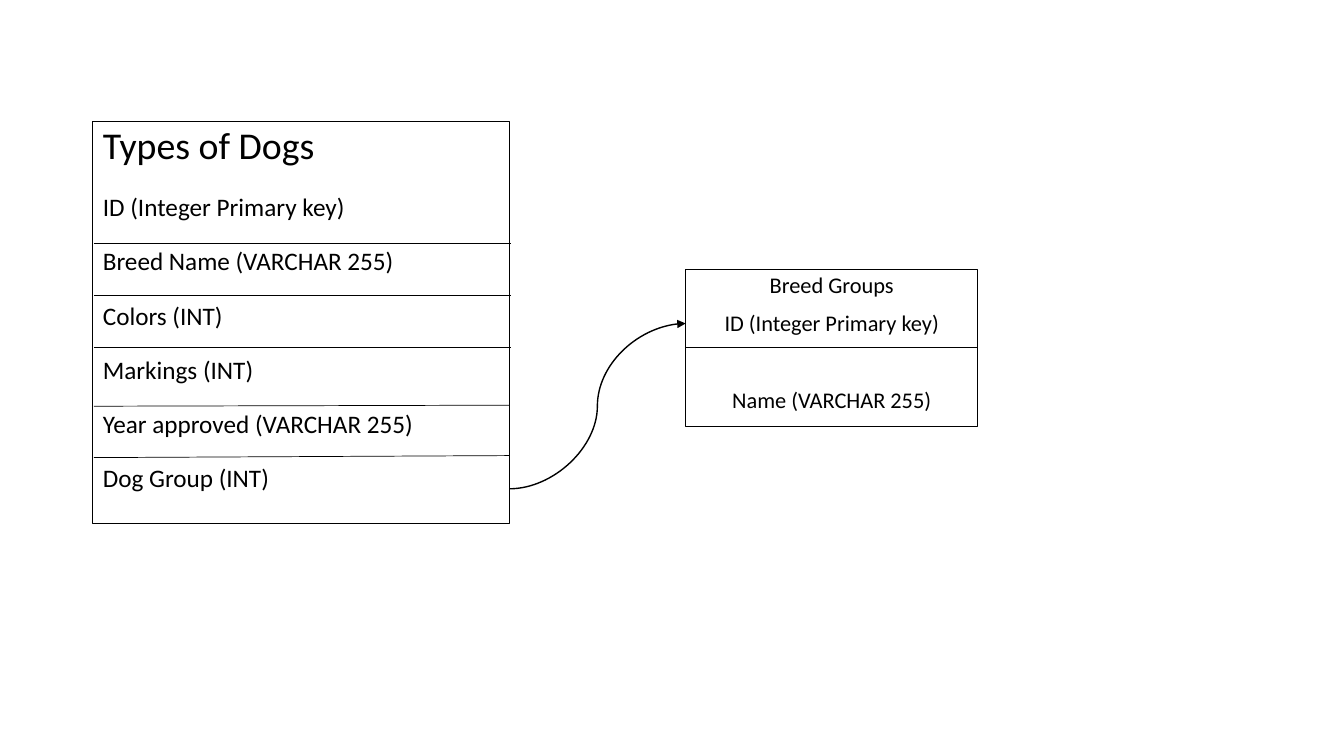
from pptx import Presentation
from pptx.dml.color import RGBColor as RGB
from pptx.enum.shapes import MSO_CONNECTOR as Conn, MSO_SHAPE as Shape
from pptx.enum.text import MSO_ANCHOR as Anchor, MSO_AUTO_SIZE as Auto, PP_ALIGN as Align
from pptx.oxml.ns import qn
from pptx.util import Inches, Pt
from lxml.etree import SubElement as Sub

theme = {
    "ink": RGB(0, 0, 0), "font": "Calibri",
    "head": 27, "field": 18, "group": 16,
    "box": 0.75, "rule": 0.5, "link": 1,
}

deck = Presentation()
deck.slide_width, deck.slide_height = Inches(13.33), Inches(7.5)
slide = deck.slides.add_slide(deck.slide_layouts[5])


def fill_box(box, place, align, rows):
    sides = ("left", "top", "width", "height")
    for side, value in zip(sides, place):
        setattr(box, side, Inches(value))
    box.fill.background()
    box.line.color.rgb = theme["ink"]
    box.line.width = Pt(theme["box"])
    frame = box.text_frame
    look = {"word_wrap": True, "auto_size": Auto.NONE, "vertical_anchor": Anchor.TOP,
            "margin_left": Inches(0.1), "margin_right": Inches(0.1),
            "margin_top": Inches(0.05), "margin_bottom": Inches(0.05)}
    for key, value in look.items():
        setattr(frame, key, value)
    for i, (text, size, gap) in enumerate(rows):
        para = frame.add_paragraph() if i else frame.paragraphs[0]
        form = {"alignment": align, "line_spacing": 0.9, "space_before": Pt(gap)}
        for key, value in form.items():
            setattr(para, key, value)
        run = para.add_run()
        run.text = text
        run.font.color.rgb = theme["ink"]
        for key, value in {"name": theme["font"], "size": Pt(theme[size])}.items():
            setattr(run.font, key, value)


def draw_line(kind, ends, width):
    line = slide.shapes.add_connector(kind, *map(Inches, ends))
    line.line.color.rgb = theme["ink"]
    line.line.width = Pt(theme[width])
    Sub(line._element.spPr, qn("a:effectLst"))
    return line


fields = ["ID (Integer Primary key)", "Breed Name (VARCHAR 255)", "Colors (INT)",
          "Markings (INT)", "Year approved (VARCHAR 255)", "Dog Group (INT)"]
dogs = [("Types of Dogs", "head", 0)] + [(text, "field", 19.3) for text in fields]
fill_box(slide.shapes.title, (0.92, 1.21, 4.13, 3.98), Align.LEFT, dogs)

groups = [("Breed Groups", "group", 0), ("ID (Integer Primary key)", "group", 10),
          ("Name (VARCHAR 255)", "group", 37.5)]
breed = slide.shapes.add_shape(Shape.RECTANGLE, 0, 0, 0, 0)
breed.shadow.inherit = False
fill_box(breed, (6.8, 2.67, 2.9, 1.56), Align.CENTER, groups)

rules = [(0.93, 2.41, 5.07, 2.41), (0.93, 2.93, 5.07, 2.93), (0.93, 3.45, 5.07, 3.45),
         (0.93, 4.03, 5.05, 4.02), (0.93, 4.54, 5.05, 4.52), (6.8, 3.45, 9.7, 3.45)]
for ends in rules:
    draw_line(Conn.STRAIGHT, ends, "rule")

link = draw_line(Conn.CURVE, (5.05, 4.85, 6.8, 3.21), "link")
Sub(link.line._get_or_add_ln(), qn("a:tailEnd"), type="triangle")

deck.save("out.pptx")
